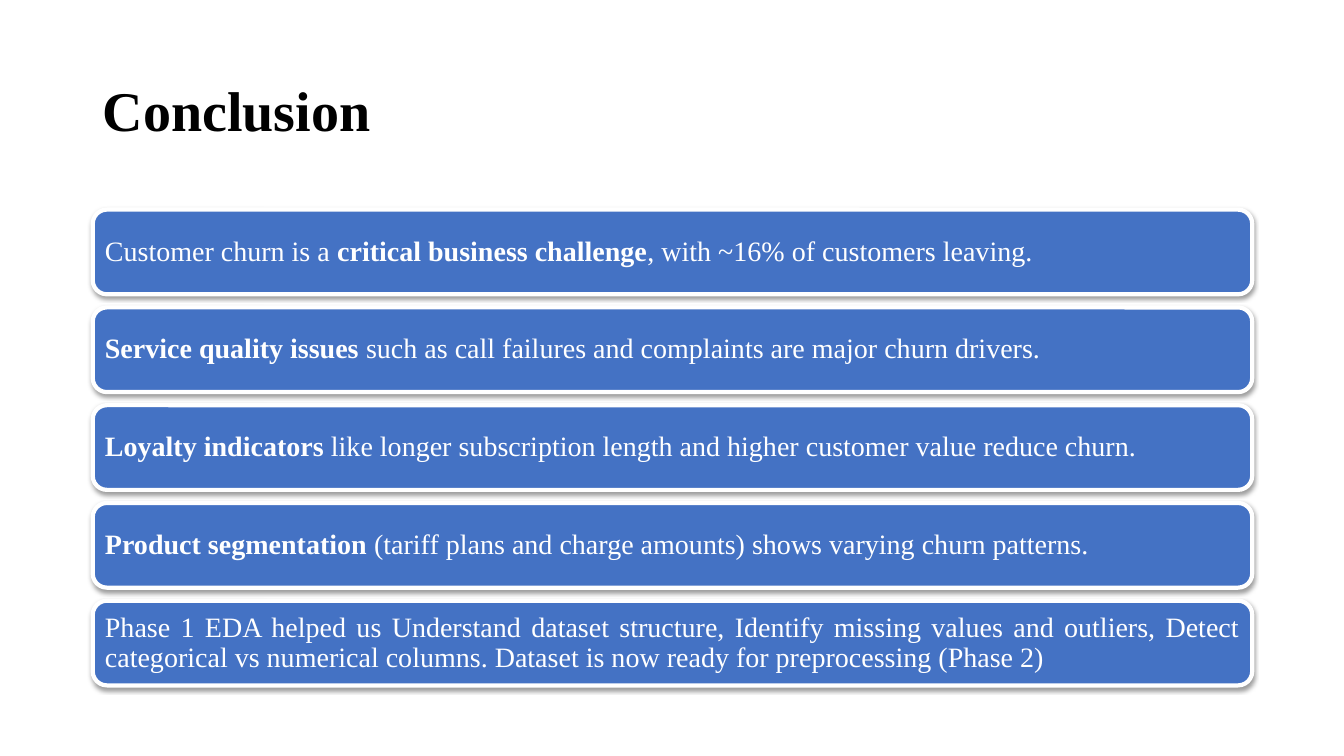
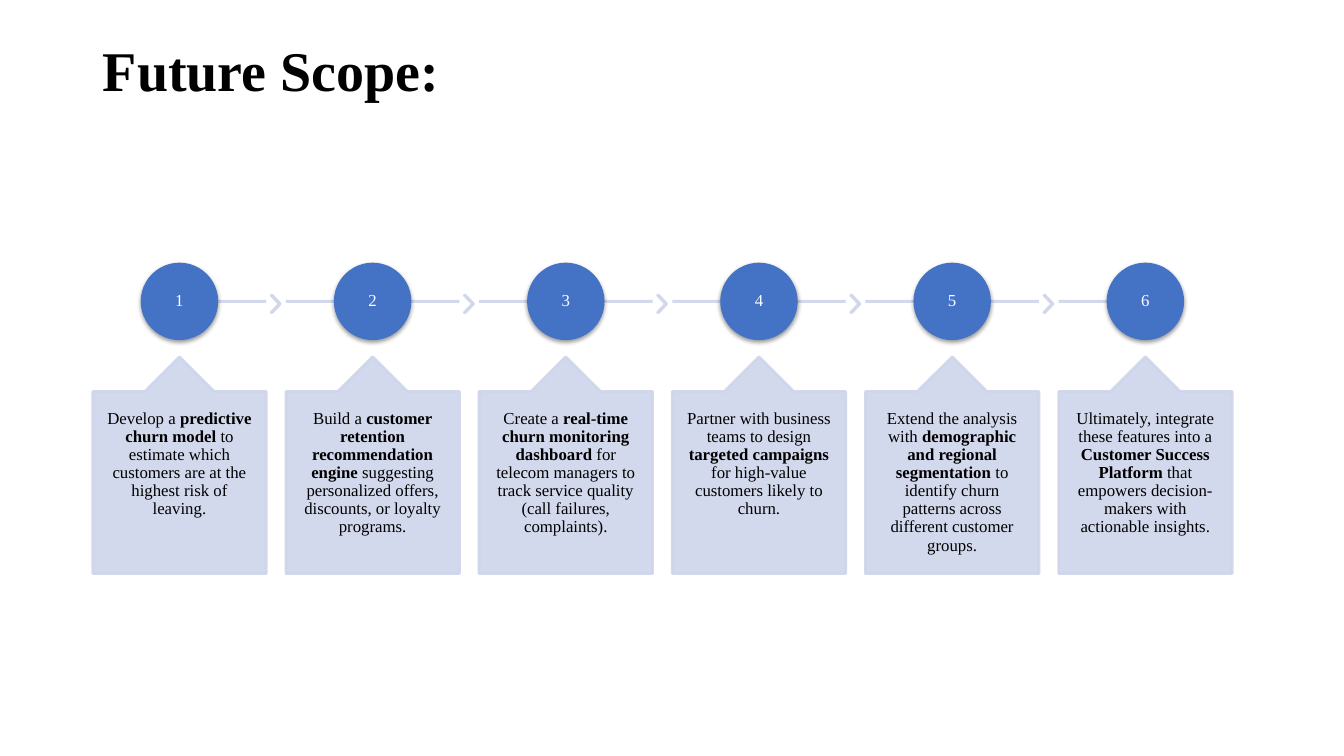
from lxml import etree
from pptx import Presentation
from pptx.dml.color import RGBColor
from pptx.enum.shapes import MSO_CONNECTOR, MSO_SHAPE
from pptx.enum.text import MSO_ANCHOR, PP_ALIGN
from pptx.oxml.ns import qn
from pptx.util import Inches, Pt

ROUNDED = MSO_SHAPE.ROUNDED_RECTANGLE
CIRCLE = MSO_SHAPE.OVAL
CHEVRON = MSO_SHAPE.CHEVRON
CALLOUT = MSO_SHAPE.UP_ARROW_CALLOUT
STRAIGHT = MSO_CONNECTOR.STRAIGHT
TOP, MIDDLE = MSO_ANCHOR.TOP, MSO_ANCHOR.MIDDLE
CENTER, JUSTIFY = PP_ALIGN.CENTER, PP_ALIGN.JUSTIFY

BLUE = RGBColor(0x44, 0x72, 0xC4)
PALE = RGBColor(0xCF, 0xD5, 0xEA)
WHITE = RGBColor(0xFF, 0xFF, 0xFF)
BLACK = RGBColor(0x00, 0x00, 0x00)
FONT = "Times New Roman"
TITLE_ONLY = 5

LEFT = 0.92
WIDTH = 11.5

# Each text alternates plain and bold parts, starting with plain.
CONCLUSIONS = [
    ("Customer churn is a ", "critical business challenge", ", with ~16% of customers leaving."),
    ("", "Service quality issues", " such as call failures and complaints are major churn drivers."),
    ("", "Loyalty indicators",
     " like longer subscription length and higher customer value reduce churn."),
    ("", "Product segmentation", " (tariff plans and charge amounts) shows varying churn patterns."),
    ("Phase 1 EDA helped us Understand dataset structure, Identify missing values and outliers, "
     "Detect categorical vs numerical columns. Dataset is now ready for preprocessing (Phase 2)",),
]
STEPS = [
    ("Develop a ", "predictive churn model",
     " to estimate which customers are at the highest risk of leaving."),
    ("Build a ", "customer retention recommendation engine",
     " suggesting personalized offers, discounts, or loyalty programs."),
    ("Create a ", "real-time churn monitoring dashboard",
     " for telecom managers to track service quality (call failures, complaints)."),
    ("Partner with business teams to design ", "targeted campaigns",
     " for high-value customers likely to churn."),
    ("Extend the analysis with ", "demographic and regional segmentation",
     " to identify churn patterns across different customer groups."),
    ("Ultimately, integrate these features into a ", "Customer Success Platform",
     " that empowers decision-makers with actionable insights."),
]


def write_text(shape, parts, size, color, align, anchor, inset_x, inset_y):
    frame = shape.text_frame
    frame.word_wrap = True
    frame.vertical_anchor = anchor
    frame.margin_left = frame.margin_right = Inches(inset_x)
    frame.margin_top = frame.margin_bottom = Inches(inset_y)
    paragraph = frame.paragraphs[0]
    paragraph.alignment = align
    paragraph.line_spacing = 0.9
    for index, part in enumerate(parts):
        if part:
            run = paragraph.add_run()
            run.text = part
            run.font.name = FONT
            run.font.size = Pt(size)
            run.font.bold = index % 2 == 1
            run.font.color.rgb = color


def add_titled_slide(presentation, title, top, height):
    slide = presentation.slides.add_slide(presentation.slide_layouts[TITLE_ONLY])
    shape = slide.shapes.title
    shape.left, shape.top = Inches(LEFT), Inches(top)
    shape.width, shape.height = Inches(WIDTH), Inches(height)
    write_text(shape, ("", title), 40, BLACK, JUSTIFY, MIDDLE, 0.1, 0.05)
    return slide


def add_filled(slide, kind, left, top, width, height, fill, line, line_width):
    shape = slide.shapes.add_shape(kind, Inches(left), Inches(top), Inches(width), Inches(height))
    shape.shadow.inherit = False
    shape.fill.solid()
    shape.fill.fore_color.rgb = fill
    shape.line.color.rgb = line
    shape.line.width = Pt(line_width)
    return shape


def add_shadow(shape):
    effects = shape._element.spPr.find(qn("a:effectLst"))
    shadow = etree.SubElement(effects, qn("a:outerShdw"), blurRad=str(Pt(3.1)),
                              dist=str(Pt(1.6)), dir="5400000", algn="ctr", rotWithShape="0")
    color = etree.SubElement(shadow, qn("a:srgbClr"), val="000000")
    etree.SubElement(color, qn("a:alpha"), val="38000")


def make_translucent(shape):
    for color in shape._element.spPr.iter(qn("a:srgbClr")):
        etree.SubElement(color, qn("a:alpha"), val="90000")


def add_pale(slide, kind, left, top, width, height, adjustments):
    shape = add_filled(slide, kind, left, top, width, height, PALE, PALE, 2)
    for index, value in enumerate(adjustments):
        shape.adjustments[index] = value
    make_translucent(shape)
    return shape


def add_track(slide, start, end, y):
    track = slide.shapes.add_connector(STRAIGHT, Inches(start), Inches(y), Inches(end), Inches(y))
    track.line.color.rgb = PALE
    track.line.width = Pt(2)
    etree.SubElement(track._element.spPr, qn("a:effectLst"))
    make_translucent(track)


def build_conclusion(presentation):
    slide = add_titled_slide(presentation, "Conclusion", 0.4, 1.45)
    first_top, pitch, height = 2.08, 0.97, 0.84
    for index, parts in enumerate(CONCLUSIONS):
        bar = add_filled(slide, ROUNDED, LEFT, first_top + index * pitch, WIDTH, height,
                         BLUE, WHITE, 3)
        add_shadow(bar)
        write_text(bar, parts, 20, WHITE, JUSTIFY, MIDDLE, 0.08, 0.08)


def build_future_scope(presentation):
    slide = add_titled_slide(presentation, "Future Scope:", 0.17, 1.11)
    card_width, diameter, track_y = 1.72, 0.74, 2.99
    pitch = (WIDTH - 0.2 - card_width) / (len(STEPS) - 1)
    last = len(STEPS) - 1
    for index, parts in enumerate(STEPS):
        left = LEFT + index * pitch
        right = left + card_width
        middle = left + card_width / 2
        add_track(slide, left if index > 0 else middle, right if index < last else middle, track_y)
        if index < last:
            add_pale(slide, CHEVRON, right + 0.05, 2.93, 0.09, 0.17, [0.9])
        badge = add_filled(slide, CIRCLE, middle - diameter / 2, track_y - diameter / 2,
                           diameter, diameter, BLUE, BLUE, 2)
        add_shadow(badge)
        write_text(badge, (str(index + 1),), 12, WHITE, CENTER, MIDDLE, 0.03, 0.03)
        card = add_pale(slide, CALLOUT, left, 3.54, card_width, 2.15, [0.5, 0.2, 0.2, 1])
        write_text(card, parts, 12, BLACK, CENTER, TOP, 0.14, 0.18)


def main():
    presentation = Presentation()
    presentation.slide_width = Inches(13.33)
    presentation.slide_height = Inches(7.5)
    build_conclusion(presentation)
    build_future_scope(presentation)
    presentation.save("out.pptx")


if __name__ == "__main__":
    main()
